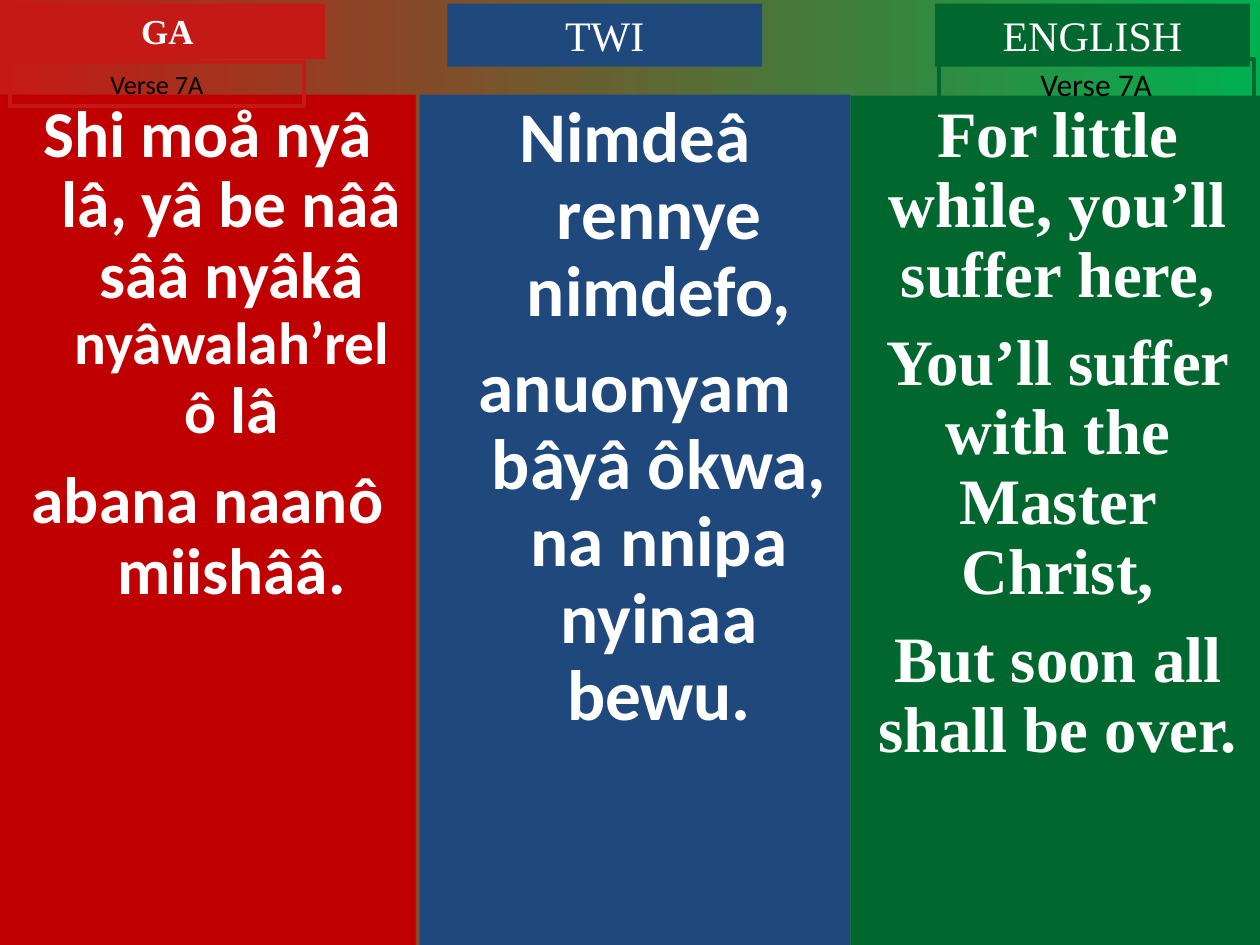
from pptx import Presentation
from pptx.dml.color import RGBColor
from pptx.enum.shapes import MSO_SHAPE
from pptx.enum.text import MSO_ANCHOR, MSO_AUTO_SIZE, PP_ALIGN
from pptx.util import Inches, Pt

RED = RGBColor(0xC0, 0x00, 0x00)
ROSE = RGBColor(0xC5, 0x19, 0x15)
BLUE = RGBColor(0x1F, 0x49, 0x7D)
GREEN = RGBColor(0x00, 0x68, 0x2F)
LIME = RGBColor(0x00, 0xB0, 0x50)
WHITE = RGBColor(0xFF, 0xFF, 0xFF)
BLACK = RGBColor(0x00, 0x00, 0x00)

SANS, SERIF = "Calibri", "Times New Roman"
WIDE, HIGH = 10, 7.5
TOP = HIGH / 10
HEAD_TOP, HEAD_WIDE = 0.03, WIDE / 4


def paint(slide):
    fill = slide.background.fill
    fill.gradient()
    fill.gradient_angle = 0
    for stop, tone, place in zip(fill.gradient_stops, (ROSE, LIME), (0, 1)):
        stop.color.rgb = tone
        stop.position = place


def add_box(slide, left, top, width, height, fill=None, edge=None):
    """Add a rectangle with a plain fill or only an edge; return its text frame."""
    box = slide.shapes.add_shape(
        MSO_SHAPE.RECTANGLE, *(Inches(x) for x in (left, top, width, height)))
    box.shadow.inherit = False
    if fill is None:
        box.fill.background()
    else:
        box.fill.solid()
        box.fill.fore_color.rgb = fill
    if edge is None:
        box.line.fill.background()
    else:
        box.line.color.rgb = edge
        box.line.width = Pt(2.25)
    frame = box.text_frame
    frame.word_wrap = True
    frame.vertical_anchor = MSO_ANCHOR.TOP
    return frame


def add_run(para, text, size, face, tone=WHITE, bold=False):
    run = para.add_run()
    run.text = text
    font = run.font
    font.size, font.name, font.bold = Pt(size), face, bold
    font.color.rgb = tone


def add_verse(slide, left, top, width, fill, face, paras, gap, hang=0):
    """Add a language column; each paragraph is a list of (text, size) runs."""
    frame = add_box(slide, left, top, width, HIGH - TOP, fill)
    for i, runs in enumerate(paras):
        para = frame.add_paragraph() if i else frame.paragraphs[0]
        para.alignment = PP_ALIGN.CENTER
        para.line_spacing = 0.9
        if i:
            para.space_before = Pt(gap)
        if hang:
            props = para._p.get_or_add_pPr()
            props.set("marL", str(Inches(hang)))
            props.set("indent", str(-Inches(hang)))
        for text, size in runs:
            add_run(para, text, size, face, bold=True)


def add_label(frame, text, size, face, tone=WHITE, bold=False):
    frame.auto_size = MSO_AUTO_SIZE.SHAPE_TO_FIT_TEXT
    para = frame.paragraphs[0]
    para.alignment = PP_ALIGN.CENTER
    add_run(para, text, size, face, tone, bold)


def add_head(slide, left, height, fill, text, size, bold=False):
    frame = add_box(slide, left, HEAD_TOP, HEAD_WIDE, height, fill)
    add_label(frame, text, size, SERIF, bold=bold)


def add_tag(slide, left, top, width, height, edge, size):
    frame = add_box(slide, left, top, width, height, edge=edge)
    add_label(frame, "Verse 7A", size, SANS, BLACK)


def main():
    deck = Presentation()
    deck.slide_width, deck.slide_height = Inches(WIDE), Inches(HIGH)
    slide = deck.slides.add_slide(deck.slide_layouts[6])
    paint(slide)

    ga = [[("Shi moå nyâ lâ, yâ be nââ sââ nyâkâ ", 37.4),
           ("nyâwalah’relô", 34), (" lâ", 37.4)],
          [("abana naanô miishââ.", 37.4)]]
    twi = [[("Nimdeâ rennye nimdefo,", 40.7)],
           [("anuonyam bâyâ ôkwa, na nnipa nyinaa bewu.", 40.7)]]
    english = [[("For little while, you’ll suffer here,", 37)],
               [("You’ll suffer with the Master Christ,", 37)],
               [("But soon all shall be over.", 37)]]

    add_verse(slide, 0, TOP, 3.3, RED, SANS, ga, 11, 0.38)
    add_verse(slide, 3.33, TOP, 3.42, BLUE, SANS, twi, 11, 0.38)
    add_head(slide, 0.08, 0.44, ROSE, "GA", 20, True)
    add_head(slide, 3.55, 0.5, BLUE, "TWI", 24)
    add_tag(slide, 0.08, 0.49, 2.33, 0.35, ROSE, 15)
    add_verse(slide, 6.75, TOP + 0.01, 3.29, GREEN, SERIF, english, 10)
    add_head(slide, 7.42, 0.5, GREEN, "ENGLISH", 24)
    add_tag(slide, 7.45, 0.47, 2.5, 0.4, GREEN, 18)

    deck.save("out.pptx")


if __name__ == "__main__":
    main()
